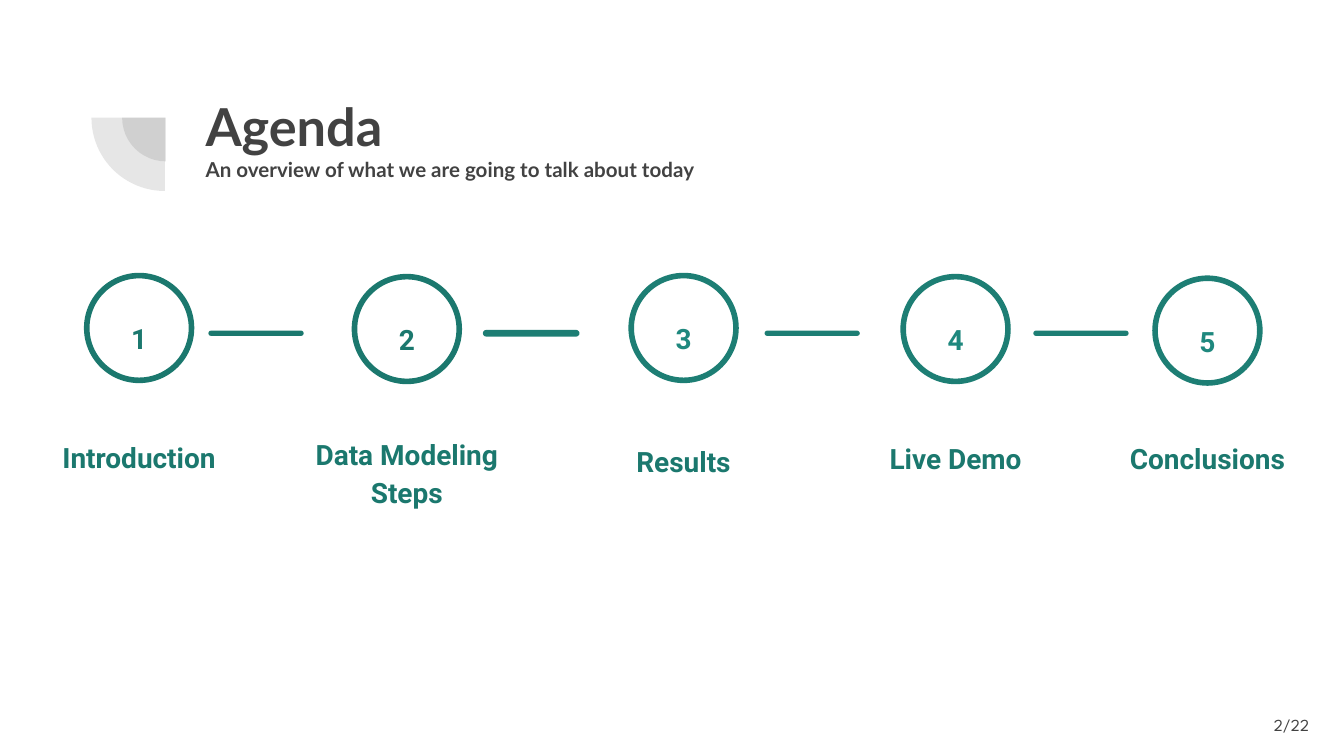
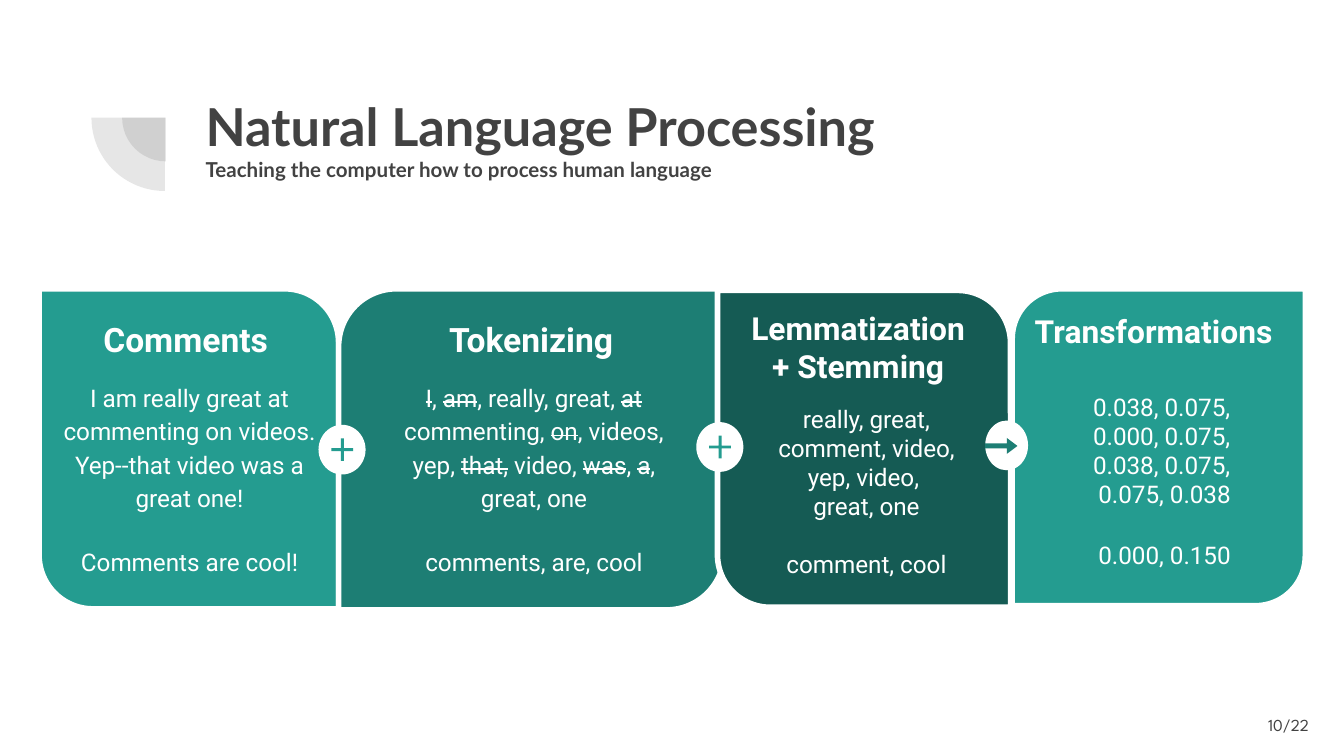
from dataclasses import dataclass

from lxml.etree import SubElement
from pptx import Presentation
from pptx.dml.color import RGBColor
from pptx.enum.shapes import MSO_SHAPE as Preset
from pptx.enum.text import MSO_ANCHOR as Anchor, MSO_AUTO_SIZE as AutoSize, PP_ALIGN as Align
from pptx.oxml.ns import qn
from pptx.util import Cm, Pt


@dataclass(frozen=True)
class Theme:
    ink: str = "424242"
    white: str = "FFFFFF"
    pine: str = "155B54"
    teal: str = "1B786E"
    sea: str = "1D7E74"
    jade: str = "1F887E"
    mint: str = "249C90"
    title_font: str = "Lato"
    body_font: str = "Roboto"
    page_font: str = "League Spartan"
    title_size: int = 28
    subtitle_size: int = 11
    step_size: int = 15
    body_size: int = 13
    page_size: int = 9


theme = Theme()


def add_figure(slide, preset, box, fill=None, line=None, width=3, adjust=()):
    figure = slide.shapes.add_shape(preset, *map(Cm, box))
    figure.shadow.inherit = False
    for index, value in enumerate(adjust):
        figure.adjustments[index] = value
    if fill:
        figure.fill.solid()
        figure.fill.fore_color.rgb = RGBColor.from_string(fill)
    else:
        figure.fill.background()
    if line:
        figure.line.color.rgb = RGBColor.from_string(line)
        figure.line.width = Pt(width)
    else:
        figure.line.fill.background()
    return figure


def add_text(slide, box, paragraphs, size, color, bold=False, font=theme.body_font,
             align=Align.CENTER, anchor=Anchor.TOP, spacing=1.0, last_gap=0):
    """Add a text box; words between tildes are struck through."""
    frame = slide.shapes.add_textbox(*map(Cm, box)).text_frame
    frame.word_wrap = True
    frame.vertical_anchor = anchor
    frame.margin_left = frame.margin_right = frame.margin_top = frame.margin_bottom = Cm(0.25)
    for index, text in enumerate(paragraphs):
        paragraph = frame.add_paragraph() if index else frame.paragraphs[0]
        paragraph.alignment = align
        paragraph.line_spacing = spacing
        if index and index == len(paragraphs) - 1:
            paragraph.space_before = Pt(last_gap)
        for position, piece in enumerate(text.split("~")):
            if not piece:
                continue
            run = paragraph.add_run()
            run.text = piece
            run.font.name = font
            run.font.size = Pt(size)
            run.font.bold = bold
            run.font.color.rgb = RGBColor.from_string(color)
            if position % 2:
                run.font._element.set("strike", "sngStrike")


deck = Presentation()
deck.slide_width, deck.slide_height = Cm(25.4), Cm(14.29)

# Shared title area
layout = deck.slide_layouts[5]
title_area = layout.placeholders[0]
title_area.left, title_area.top, title_area.width, title_area.height = map(
    Cm, (3.63, 1.65, 19.53, 2.77))
title_area.text_frame.vertical_anchor = Anchor.TOP
title_area.text_frame.auto_size = AutoSize.NONE

headings = [
    ("Agenda", "An overview of what we are going to talk about today", "2/22"),
    ("Natural Language Processing", "Teaching the computer how to process human language", "10/22"),
]
for title, subtitle, page in headings:
    slide = deck.slides.add_slide(layout)
    frame = slide.shapes.title.text_frame
    for text, size in ((title, theme.title_size), (subtitle, theme.subtitle_size)):
        paragraph = frame.paragraphs[0] if text == title else frame.add_paragraph()
        paragraph.alignment = Align.LEFT
        run = paragraph.add_run()
        run.text = text
        run.font.name = theme.title_font
        run.font.size = Pt(size)
        run.font.bold = True
        run.font.color.rgb = RGBColor.from_string(theme.ink)
    add_text(slide, (23.47, 13.16, 1.52, 1.09), [page], theme.page_size, theme.ink,
             font=theme.page_font, align=Align.RIGHT, anchor=Anchor.MIDDLE)

agenda, language = deck.slides

# The quarter-circle ornament belongs to the layout
for left, top, size in ((2.31, 1.4, 1.65), (1.73, 0.84, 2.77)):
    quarter = add_figure(agenda, Preset.PIE, (left, top, size, size), theme.ink,
                         adjust=(107.93, 162))
    quarter.rotation = 270
    tint = quarter.element.spPr.find(qn("a:solidFill"))[0]
    SubElement(tint, qn("a:alpha")).set("val", "13000")
    layout.shapes.element.append(quarter.element)

# Agenda: numbered rings, labels and the bars between them
ring, label_width = 1.98, 5.18
steps = [  # label, centre, ring top, label top, ring colour, number colour
    ("Introduction", 2.63, 5.21, 7.75, theme.teal, theme.teal),
    ("Data Modeling Steps", 7.69, 5.23, 8.41, theme.teal, theme.teal),
    ("Results", 12.92, 5.21, 7.82, theme.sea, theme.jade),
    ("Live Demo", 18.06, 5.23, 7.77, theme.sea, theme.jade),
    ("Conclusions", 22.82, 5.26, 7.77, theme.sea, theme.jade),
]
for number, (label, centre, top, label_top, ring_color, number_color) in enumerate(steps, 1):
    add_figure(agenda, Preset.OVAL, (centre - ring / 2, top, ring, ring), line=ring_color)
    add_text(agenda, (centre - 0.73, top + 0.53, 1.46, 1.07), [str(number)],
             theme.step_size, number_color, bold=True, spacing=1.15)
    add_text(agenda, (centre - label_width / 2, label_top, label_width, 1.47), [label],
             theme.step_size, theme.teal, bold=True, anchor=Anchor.BOTTOM, spacing=1.15)

bars = [(3.94, theme.teal, None), (9.14, theme.sea, theme.sea),
        (14.45, theme.sea, None), (19.53, theme.sea, None)]
for left, color, outline in bars:
    add_figure(agenda, Preset.ROUNDED_RECTANGLE, (left, 6.25, 1.8, 0.1), color,
               line=outline, width=0.75, adjust=(0.5,))

# Language processing: four cards
cards = [
    dict(box=(0.74, 5.46, 5.66, 6.05), corners=(0, 0.18), fill=theme.mint,
         heading="Comments", heading_box=(1.4, 5.77, 4.22, 1.78), heading_size=18,
         body=["I am really great at commenting on videos. Yep--that video was a great one!",
               "Comments are cool!"],
         body_box=(0.94, 6.91, 5.28, 4.75), spacing=1.15, gap=16),
    dict(box=(6.4, 5.46, 7.29, 6.07), corners=(0.18, 0), fill=theme.sea,
         heading="Tokenizing", heading_box=(7.32, 5.77, 5.44, 1.78), heading_size=18,
         body=["~I~, ~am~, really, great, ~at~ commenting, ~on~, videos, yep, "
               "~that,~ video, ~was~, ~a~, great, one",
               "comments, are, cool"],
         body_box=(7.32, 6.91, 5.54, 4.55), spacing=1.15, gap=16),
    dict(box=(13.56, 5.49, 5.54, 5.99), corners=(0, 0.18), fill=theme.pine,
         heading="Lemmatization + Stemming", heading_box=(13.92, 5.59, 4.6, 1.75),
         heading_size=17,
         body=["really, great, comment, video, yep, video, ", "great, one", "comment, cool"],
         body_box=(14.15, 7.39, 4.45, 3.71), spacing=1.0, gap=15),
    dict(box=(19.13, 5.46, 5.54, 5.99), corners=(0.17, 0), fill=theme.mint,
         heading="Transformations", heading_box=(19.2, 5.64, 5.21, 1.75), heading_size=17,
         body=["0.038, 0.075, ", "0.000, 0.075, ", "0.038, 0.075, ", "0.075, 0.038",
               "0.000, 0.150"],
         body_box=(19.61, 7.16, 4.8, 3.66), spacing=1.0, gap=17),
]
for card in cards:
    add_figure(language, Preset.ROUND_2_DIAG_RECTANGLE, card["box"], card["fill"],
               line=theme.white, adjust=card["corners"])
    add_text(language, card["heading_box"], [card["heading"]], card["heading_size"],
             theme.white, bold=True)
    add_text(language, card["body_box"], card["body"], theme.body_size, theme.white,
             spacing=card["spacing"], last_gap=card["gap"])

# Badges on the seams between cards
for left, top in ((6.02, 8.03), (13.16, 7.98)):
    add_figure(language, Preset.OVAL, (left, top, 0.89, 0.94), theme.white)
    add_figure(language, Preset.MATH_PLUS, (left + 0.17, top + 0.18, 0.56, 0.58), theme.mint,
               adjust=(0.1,))
add_figure(language, Preset.OVAL, (18.62, 7.95, 0.81, 0.94), theme.white)
add_figure(language, Preset.RIGHT_ARROW, (18.62, 8.28, 0.61, 0.3), theme.sea,
           adjust=(0.32, 0.67))

deck.save("out.pptx")
